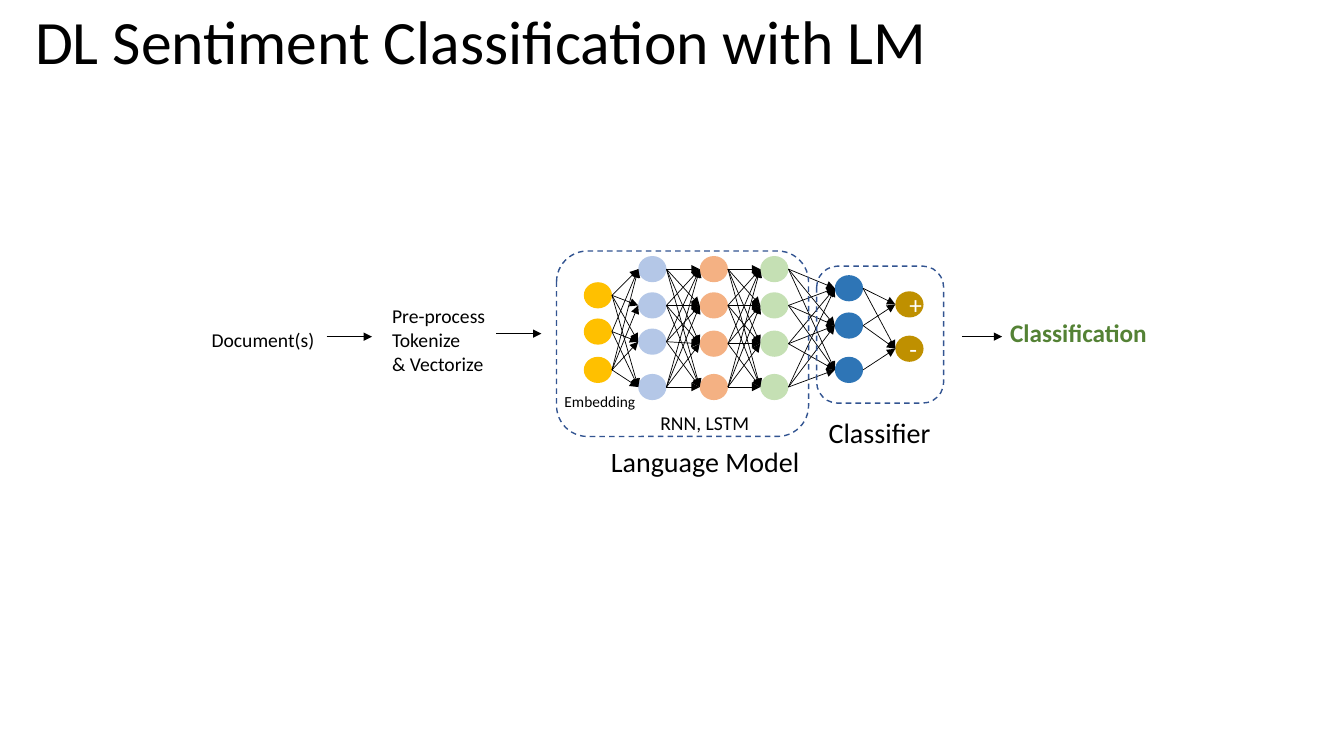
from dataclasses import dataclass
from itertools import product

from lxml import etree
from pptx import Presentation
from pptx.dml.color import RGBColor
from pptx.enum.dml import MSO_LINE
from pptx.enum.shapes import MSO_CONNECTOR, MSO_SHAPE
from pptx.enum.text import MSO_ANCHOR, MSO_AUTO_SIZE, PP_ALIGN
from pptx.oxml.ns import qn
from pptx.util import Inches, Pt

STRAIGHT = MSO_CONNECTOR.STRAIGHT
OVAL, ROUNDED = MSO_SHAPE.OVAL, MSO_SHAPE.ROUNDED_RECTANGLE
DASH = MSO_LINE.DASH
MIDDLE, TOP = MSO_ANCHOR.MIDDLE, MSO_ANCHOR.TOP
CENTER = PP_ALIGN.CENTER
GROW, FIXED = MSO_AUTO_SIZE.SHAPE_TO_FIT_TEXT, MSO_AUTO_SIZE.NONE


@dataclass(frozen=True)
class Theme:
    font: str = "Calibri"
    ink: str = "000000"
    paper: str = "FFFFFF"
    frame: str = "325491"
    result: str = "548235"
    embedding: str = "FFC000"
    hidden: tuple = ("B4C7E7", "F4B183", "C5E0B4")
    classifier: str = "2E75B6"
    output: str = "BF9000"
    title_size: int = 44
    group_size: int = 20
    strong_size: int = 18
    body_size: int = 14
    small_size: int = 11


THEME = Theme()
NODE_W, NODE_H = 0.28, 0.26

# Each layer: left edge, fill, tops of its nodes
HIDDEN_TOPS = (2.54, 2.9, 3.28, 3.71)
LAYERS = [
    (5.79, THEME.embedding, (2.8, 3.16, 3.54)),
    (6.33, THEME.hidden[0], (2.54, 2.9, 3.26, 3.71)),
    (6.94, THEME.hidden[1], HIDDEN_TOPS),
    (7.54, THEME.hidden[2], HIDDEN_TOPS),
    (8.28, THEME.classifier, (2.73, 3.1, 3.54)),
    (8.88, THEME.output, (2.89, 3.33)),
]
OUTPUT_SIGNS = ("+", "-")
# Pairs left unjoined: (layer, node, node in the next layer)
UNJOINED = {(0, 1, 1), (4, 2, 0)}


def rgb(value):
    return RGBColor.from_string(value)


def style_run(r, text, size, color, bold=False):
    r.text = text
    r.font.name = THEME.font
    r.font.size = Pt(size)
    r.font.bold = bold
    r.font.color.rgb = rgb(color)


def add_text(slide, text, left, top, width, height, size=THEME.body_size,
             color=THEME.ink, bold=False, wrap=False, anchor=TOP, spacing=None):
    """Add a text box with one paragraph for each line of text."""
    sp = slide.shapes.add_textbox(Inches(left), Inches(top), Inches(width), Inches(height))
    tf = sp.text_frame
    tf.word_wrap = wrap
    tf.auto_size = FIXED if wrap else GROW
    tf.vertical_anchor = anchor
    for i, line in enumerate(text.split("\n")):
        p = tf.add_paragraph() if i else tf.paragraphs[0]
        p.line_spacing = spacing
        style_run(p.add_run(), line, size, color, bold)


def add_arrow(slide, start, end, weight):
    (x1, y1), (x2, y2) = start, end
    line = slide.shapes.add_connector(STRAIGHT, Inches(x1), Inches(y1), Inches(x2), Inches(y2))
    line.line.color.rgb = rgb(THEME.ink)
    line.line.width = Pt(weight)
    etree.SubElement(line.line._get_or_add_ln(), qn("a:tailEnd"), type="triangle")
    etree.SubElement(line._element.spPr, qn("a:effectLst"))


def add_node(slide, left, top, fill, sign=None):
    sp = slide.shapes.add_shape(OVAL, Inches(left), Inches(top), Inches(NODE_W), Inches(NODE_H))
    sp.shadow.inherit = False
    sp.fill.solid()
    sp.fill.fore_color.rgb = rgb(fill)
    sp.line.fill.background()
    if sign:
        tf = sp.text_frame
        tf.vertical_anchor = MIDDLE
        p = tf.paragraphs[0]
        p.alignment = CENTER
        style_run(p.add_run(), sign, THEME.strong_size, THEME.paper)


def add_frame(slide, left, top, width, height):
    sp = slide.shapes.add_shape(ROUNDED, Inches(left), Inches(top), Inches(width), Inches(height))
    sp.shadow.inherit = False
    sp.fill.background()
    sp.line.color.rgb = rgb(THEME.frame)
    sp.line.width = Pt(1)
    sp.line.dash_style = DASH


def add_network(slide):
    """Draw every layer of nodes, then the arrows between neighbouring layers."""
    last = len(LAYERS) - 1
    for i, (left, fill, tops) in enumerate(LAYERS):
        for j, top in enumerate(tops):
            add_node(slide, left, top, fill, OUTPUT_SIGNS[j] if i == last else None)

    for i, (source, target) in enumerate(zip(LAYERS, LAYERS[1:])):
        for (j, y1), (k, y2) in product(enumerate(source[2]), enumerate(target[2])):
            if (i, j, k) not in UNJOINED:
                add_arrow(slide, (source[0] + NODE_W, y1 + NODE_H / 2),
                          (target[0], y2 + NODE_H / 2), weight=0.5)


def main():
    prs = Presentation()
    prs.slide_width, prs.slide_height = Inches(13.33), Inches(7.5)
    slide = prs.slides.add_slide(prs.slide_layouts[6])

    add_text(slide, "DL Sentiment Classification with LM", 0.25, -0.28, 9.23, 1.45,
             size=THEME.title_size, wrap=True, anchor=MIDDLE, spacing=0.9)
    add_text(slide, "Document(s)", 2, 3.2, 1.23, 0.34)
    add_text(slide, "Pre-process\nTokenize\n& Vectorize", 3.79, 2.97, 1.13, 0.81)

    add_network(slide)
    add_frame(slide, 5.52, 2.49, 2.5, 1.84)
    add_frame(slide, 8.1, 2.64, 1.26, 1.36)

    add_text(slide, "Embedding", 5.5, 3.84, 0.91, 0.29, size=THEME.small_size)
    add_text(slide, "RNN, LSTM", 6.45, 4.03, 1.09, 0.34)
    add_text(slide, "Language Model", 5.96, 4.36, 2.09, 0.44, size=THEME.group_size)
    add_text(slide, "Classifier", 8.12, 4.07, 1.23, 0.44, size=THEME.group_size)
    add_text(slide, "Classification", 9.92, 3.1, 1.57, 0.4,
             size=THEME.strong_size, color=THEME.result, bold=True)

    for x1, x2, y in ((3.24, 3.69, 3.34), (4.92, 5.37, 3.31), (9.54, 9.94, 3.34)):
        add_arrow(slide, (x1, y), (x2, y), weight=1)

    prs.save("out.pptx")


if __name__ == "__main__":
    main()
